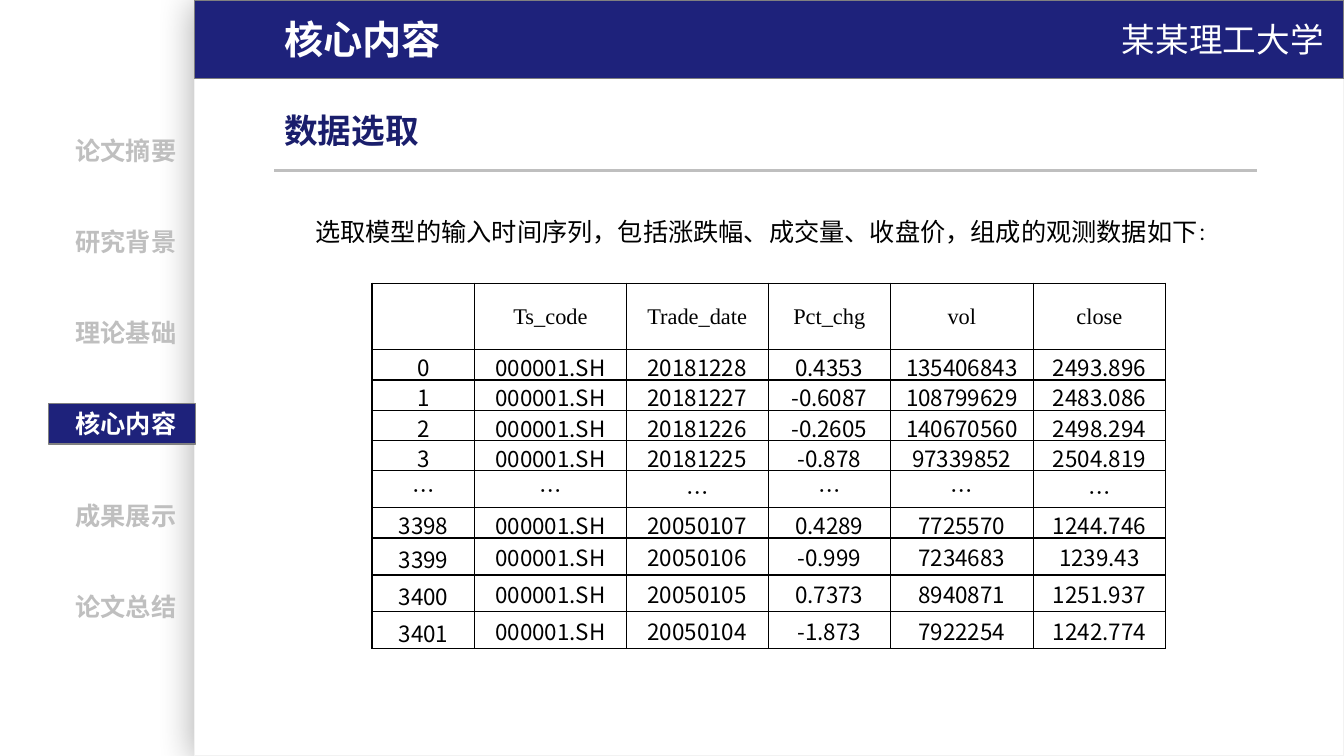
import pptx
import pptx.util
import pptx.dml.color
import pptx.enum.shapes
import pptx.enum.text
import pptx.oxml
import pptx.oxml.ns
from lxml import etree

Inches, Pt = pptx.util.Inches, pptx.util.Pt
ALIGN, ANCHOR = pptx.enum.text.PP_ALIGN, pptx.enum.text.MSO_ANCHOR
RECT = pptx.enum.shapes.MSO_SHAPE.RECTANGLE
LINE = pptx.enum.shapes.MSO_CONNECTOR.STRAIGHT
qn = pptx.oxml.ns.qn

# Content
SANS, SERIF = "Noto Sans CJK SC", "Times New Roman"
NAVY, GREY, WHITE, BLACK = "1E227B", "BFBFBF", "FFFFFF", "000000"
MENU = ["论文摘要", "研究背景", "理论基础", "核心内容", "成果展示", "论文总结"]
ACTIVE = 3
SCHOOL = "某某理工大学"
TOPIC = "数据选取"
INTRO = "选取模型的输入时间序列，包括涨跌幅、成交量、收盘价，组成的观测数据如下"
HEAD = ["", "Ts_code", "Trade_date", "Pct_chg", "vol", "close"]
CODE = "000001.SH"
ROWS = [
    ("0", CODE, "20181228", "0.4353", "135406843", "2493.896"),
    ("1", CODE, "20181227", "-0.6087", "108799629", "2483.086"),
    ("2", CODE, "20181226", "-0.2605", "140670560", "2498.294"),
    ("3", CODE, "20181225", "-0.878", "97339852", "2504.819"),
    ("…",) * 6,
    ("3398", CODE, "20050107", "0.4289", "7725570", "1244.746"),
    ("3399", CODE, "20050106", "-0.999", "7234683", "1239.43"),
    ("3400", CODE, "20050105", "0.7373", "8940871", "1251.937"),
    ("3401", CODE, "20050104", "-1.873", "7922254", "1242.774"),
]
WIDTHS = [1.02, 1.5, 1.41, 1.21, 1.42, 1.31]
HEAD_H, ROW_H = 0.66, 0.3
# Cells that keep the default margins, as (row, column)
ROOMY = {(5, 2), (5, 5), (7, 0), (8, 0), (9, 0)}

deck = pptx.Presentation()
deck.slide_width, deck.slide_height = Inches(13.33), Inches(7.5)
slide = deck.slides.add_slide(deck.slide_layouts[6])


def color(code):
    return pptx.dml.color.RGBColor.from_string(code)


def add_run(para, words, size, font, tint, bold=False):
    run = para.add_run()
    run.text = words
    run.font.size, run.font.name, run.font.bold = Pt(size), font, bold
    run.font.color.rgb = color(tint)
    east = etree.SubElement(run.font._element, qn("a:ea"))
    east.set("typeface", font)


def add_box(left, top, width, height, fill, edge):
    box = slide.shapes.add_shape(
        RECT, Inches(left), Inches(top), Inches(width), Inches(height))
    box.shadow.inherit = False
    box.fill.solid()
    box.fill.fore_color.rgb = color(fill)
    box.line.color.rgb = color(edge)
    box.line.width = Pt(1)
    return box


def add_text(left, top, width, height, *runs):
    box = slide.shapes.add_textbox(
        Inches(left), Inches(top), Inches(width), Inches(height))
    box.text_frame.word_wrap = True
    for run in runs:
        add_run(box.text_frame.paragraphs[0], *run)


def add_edges(cell):
    props = cell._tc.get_or_add_tcPr()
    for spot, side in enumerate(("lnL", "lnR", "lnT", "lnB")):
        props.insert(spot, pptx.oxml.parse_xml(
            f'<a:{side} xmlns:a="{pptx.oxml.ns.nsuri("a")}" w="12700">'
            f'<a:solidFill><a:srgbClr val="{BLACK}"/></a:solidFill></a:{side}>'))


# Main panel with a soft shadow
panel = add_box(1.93, 0, 11.4, 7.5, WHITE, "F2F2F2")
glow = panel._element.spPr.find(qn("a:effectLst"))
glow.append(pptx.oxml.parse_xml(
    f'<a:outerShdw xmlns:a="{pptx.oxml.ns.nsuri("a")}" blurRad="{Pt(25)}" '
    f'dist="{Pt(3)}" dir="{130 * 60000}" algn="ctr" rotWithShape="0">'
    f'<a:srgbClr val="{BLACK}"><a:alpha val="30000"/></a:srgbClr></a:outerShdw>'))

# Side menu
MENU_TOP, MENU_STEP = 1.29, 0.905
add_box(0.48, MENU_TOP + ACTIVE * MENU_STEP, 1.46, 0.4, NAVY, "808080")
for i, name in enumerate(MENU):
    tint = WHITE if i == ACTIVE else GREY
    add_text(0.65, MENU_TOP + i * MENU_STEP, 1.28, 0.4,
             (name, 18, SANS, tint, True))

# Title bar and heading
add_box(1.93, 0, 11.4, 0.78, NAVY, "808080")
add_text(2.72, 0.1, 2.18, 0.57, (MENU[ACTIVE], 28, SANS, WHITE, True))
add_text(2.72, 1.04, 2.59, 0.5, (TOPIC, 24, SANS, "1A1E6C", True))
rule = slide.shapes.add_connector(
    LINE, Inches(2.72), Inches(1.69), Inches(12.47), Inches(1.69))
rule.line.color.rgb = color(GREY)
rule.line.width = Pt(2.25)
etree.SubElement(rule._element.spPr, qn("a:effectLst"))
add_text(11.03, 0.14, 2.3, 0.5, (SCHOOL, 24, "Noto Sans CJK JP", WHITE))
add_text(3.03, 2.1, 9.47, 0.4,
         (INTRO, 18, SANS, BLACK), ("：", 16, SERIF, BLACK))

# Data table
grid = [HEAD] + ROWS
table = slide.shapes.add_table(
    len(grid), len(HEAD), Inches(3.69), Inches(2.81), Inches(sum(WIDTHS)),
    Inches(HEAD_H + ROW_H * len(ROWS))).table
table.first_row = table.horz_banding = False
for col, width in zip(table.columns, WIDTHS):
    col.width = Inches(width)
for r, line in enumerate(grid):
    table.rows[r].height = Inches(ROW_H if r else HEAD_H)
    for c, words in enumerate(line):
        cell = table.cell(r, c)
        cell.fill.background()
        cell.vertical_anchor = ANCHOR.MIDDLE
        if r and (r, c) not in ROOMY:
            cell.margin_left = cell.margin_right = Inches(0.01)
            cell.margin_top, cell.margin_bottom = Inches(0.01), 0
        add_edges(cell)
        para = cell.text_frame.paragraphs[0]
        para.alignment = ALIGN.CENTER
        if words:
            add_run(para, words, 16, SANS if r else SERIF, BLACK)

deck.save("out.pptx")
